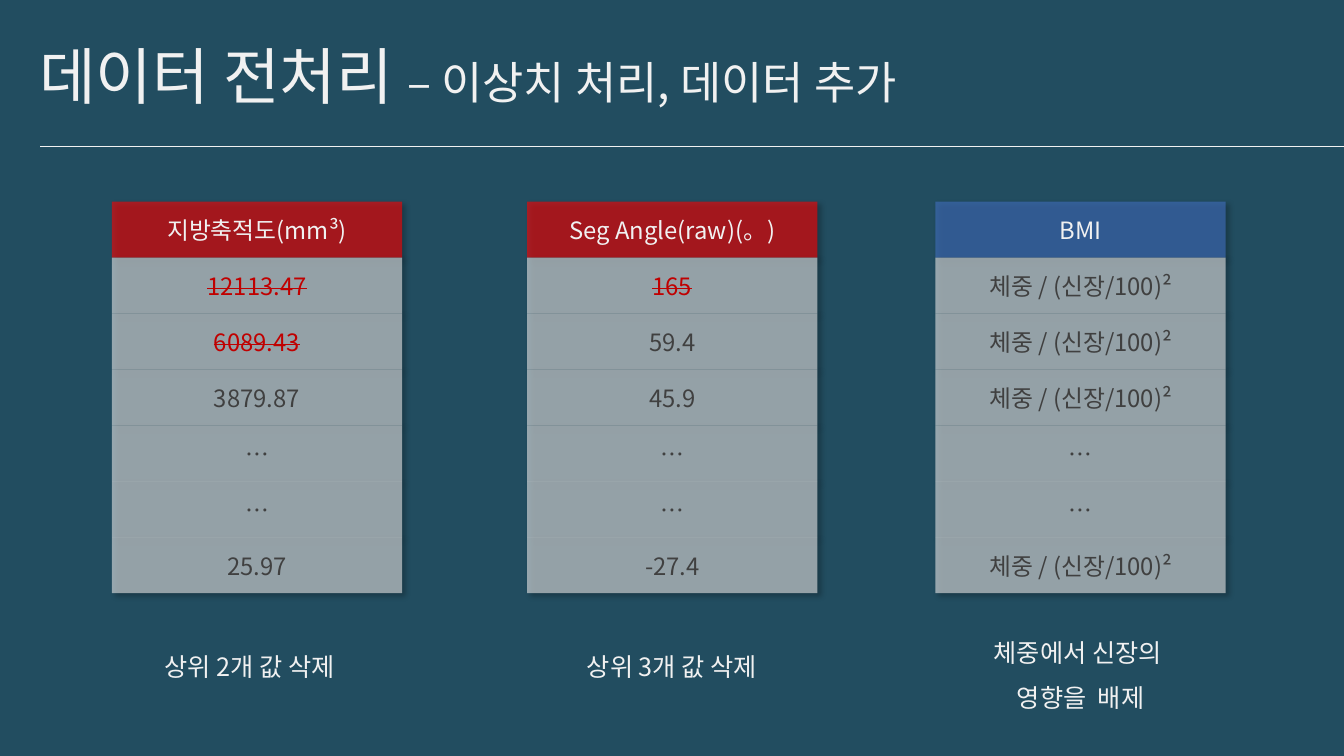
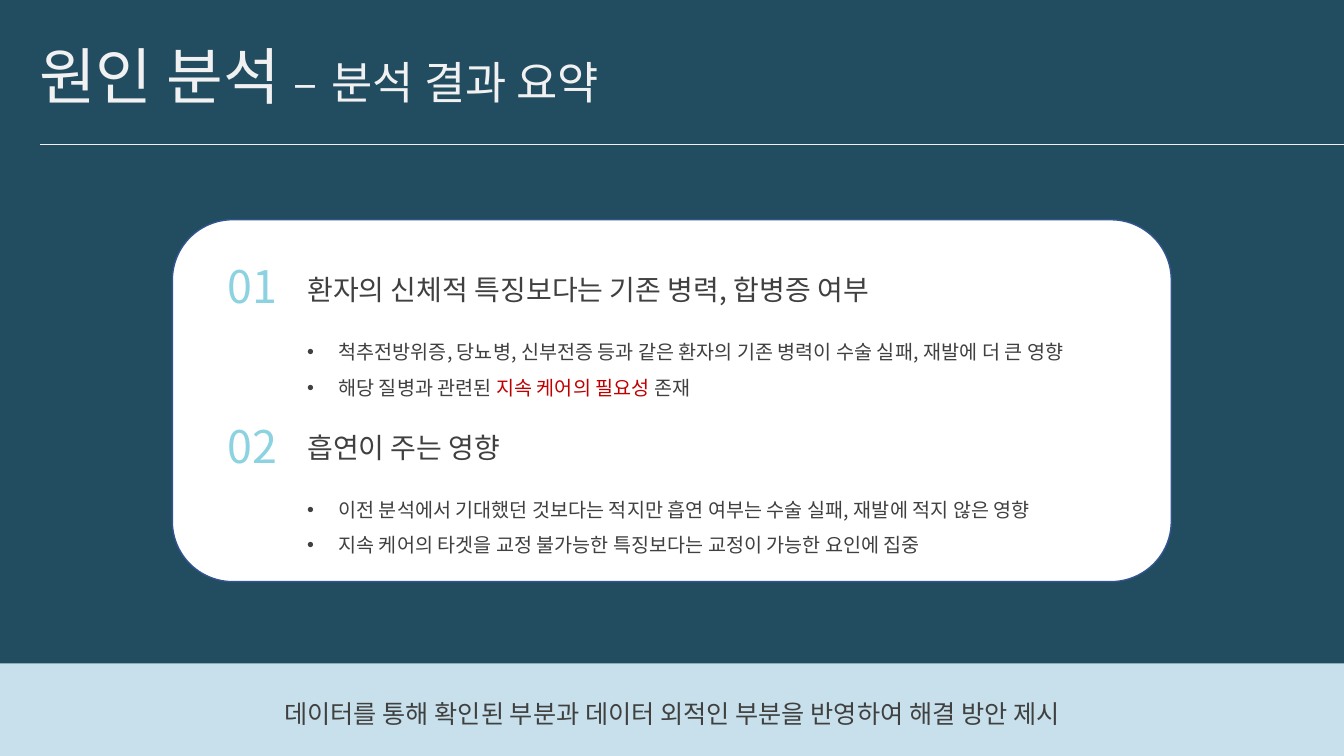
import lxml.etree
import pptx
import pptx.dml.color
import pptx.enum.shapes
import pptx.enum.text
import pptx.oxml.ns
import pptx.util

RGB = pptx.dml.color.RGBColor
SHAPE = pptx.enum.shapes.MSO_SHAPE
ALIGN = pptx.enum.text.PP_ALIGN
ANCHOR = pptx.enum.text.MSO_ANCHOR
FIT = pptx.enum.text.MSO_AUTO_SIZE
Inches = pptx.util.Inches
Pt = pptx.util.Pt
qn = pptx.oxml.ns.qn

NAVY = RGB(0x22, 0x4D, 0x60)
PALE = RGB(0xF1, 0xF1, 0xF1)
DARK = RGB(0x40, 0x40, 0x40)
RED = RGB(0xC0, 0x00, 0x00)
HOT = RGB(0xFF, 0x00, 0x00)
BLUE = RGB(0x42, 0x70, 0xC1)
EDGE = RGB(0x32, 0x54, 0x91)
GREY = RGB(0xE7, 0xE6, 0xE6)
ICE = RGB(0xC7, 0xE0, 0xEB)
AQUA = RGB(0x8C, 0xD2, 0xE0)
WHITE = RGB(0xFF, 0xFF, 0xFF)

FONT = "Noto Sans CJK KR"
PLAIN = "{2D5ABB26-0587-4C30-8999-92F81FD0307C}"
WIDE, HIGH = Inches(13.33), Inches(7.5)
COLS, ROWS = 40, 30
CENTER = {"alignment": ALIGN.CENTER}
GROW = {"auto_size": FIT.SHAPE_TO_FIT_TEXT}
FLOAT = {**GROW, "word_wrap": False, "vertical_anchor": ANCHOR.MIDDLE}
LOOSE = {"line_spacing": 1.5}


def apply(target, style):
    for key, value in style.items():
        setattr(target, key, value)


def add(parent, tag, **attrs):
    return lxml.etree.SubElement(parent, qn(tag), **attrs)


class Deck:
    """Holds the shared style and the current slide; lengths are grid columns and rows."""

    def __init__(self):
        self.show = pptx.Presentation()
        apply(self.show, {"slide_width": WIDE, "slide_height": HIGH})

    def box(self, x, y, w, h):
        return (round(WIDE * x / COLS), round(HIGH * y / ROWS),
                round(WIDE * w / COLS), round(HIGH * h / ROWS))

    def page(self, title, topic, rule):
        self.slide = self.show.slides.add_slide(self.show.slide_layouts[6])
        fill = self.slide.background.fill
        fill.solid()
        fill.fore_color.rgb = NAVY
        inset = {"margin_" + side: Inches(0.39)
                 for side in ("left", "top", "right", "bottom")}
        self.text((0, 0, COLS, 5.8), [[(title, 44, PALE), *topic]],
                  {**inset, "vertical_anchor": ANCHOR.BOTTOM}, {"line_spacing": 0.9})
        x, y, w, _ = self.box(1.2, rule, COLS - 1.2, 0)
        line = self.slide.shapes.add_connector(
            pptx.enum.shapes.MSO_CONNECTOR.STRAIGHT, x, y, x + w, y)
        line.line.color.rgb = PALE
        line.line.width = Pt(0.5)
        add(line._element.spPr, "a:effectLst")

    def put(self, frame, lines, para={}, bullet=None):
        """Each line is a list of runs: text, size, colour and, if struck out, True."""
        for i, runs in enumerate(lines):
            p = frame.add_paragraph() if i else frame.paragraphs[0]
            apply(p, para)
            if bullet:
                props = p._p.get_or_add_pPr()
                props.set("marL", str(Inches(0.31)))
                props.set("indent", str(-Inches(0.31)))
                add(props, "a:buFont", typeface="Arial")
                add(props, "a:buChar", char=bullet)
            for words, size, color, *struck in runs:
                run = p.add_run()
                run.text = words
                apply(run.font, {"size": Pt(size), "name": FONT})
                run.font.color.rgb = color
                props = run._r.get_or_add_rPr()
                add(props, "a:ea", typeface=FONT)
                if any(struck):
                    props.set("strike", "sngStrike")

    def text(self, area, lines, style={}, para={}, bullet=None):
        frame = self.slide.shapes.add_textbox(*self.box(*area)).text_frame
        apply(frame, {"word_wrap": True, **style})
        self.put(frame, lines, para, bullet)

    def shape(self, kind, area, fill, edge=None):
        shape = self.slide.shapes.add_shape(kind, *self.box(*area))
        shape.shadow.inherit = False
        shape.fill.solid()
        shape.fill.fore_color.rgb = fill
        if edge:
            shape.line.color.rgb = edge
            shape.line.width = Pt(1)
        else:
            shape.line.fill.background()
        return shape

    def table(self, x, head, tint, cells):
        """Draw a one-column table; a cell starting with ~ is struck out."""
        step = 2.22
        area = self.box(x, 8, 8.64, step * (len(cells) + 1))
        table = self.slide.shapes.add_table(len(cells) + 1, 1, *area).table
        props = table._tbl.tblPr
        props.find(qn("a:tableStyleId")).text = PLAIN
        glow = lxml.etree.Element(qn("a:effectLst"))
        props.insert(0, glow)
        shade = add(glow, "a:outerShdw", blurRad="50800", dist="38100",
                    dir="2700000", algn="tl", rotWithShape="0")
        add(add(shade, "a:prstClr", val="black"), "a:alpha", val="40000")
        for i, words in enumerate([head, *cells]):
            table.rows[i].height = self.box(0, 0, 0, step)[3]
            cell = table.cell(i, 0)
            apply(cell, {"vertical_anchor": ANCHOR.MIDDLE,
                         "margin_left": Inches(0.14), "margin_right": Inches(0.14),
                         "margin_top": Inches(0.07), "margin_bottom": Inches(0.07)})
            cell.fill.solid()
            cell.fill.fore_color.rgb = GREY if i else tint
            solid = cell._tc.tcPr.find(qn("a:solidFill"))
            add(solid[0], "a:alpha", val="60000")
            struck = words.startswith("~")
            color = RED if struck else DARK if i else PALE
            self.put(cell.text_frame, [[(words.lstrip("~"), 17, color, struck)]], CENTER)

    def point(self, tops, mark, head, wide, lines):
        """Draw a numbered heading with bullets below it."""
        top, mid, low = tops
        self.text((6.48, top, 2.76, 2.56), [[(mark, 32, AQUA)]], GROW)
        self.text((8.85, mid, 23.94, 1.76), [[(head, 20, DARK)]], GROW)
        self.text((8.85, low, wide, 3), lines, GROW, LOOSE, "•")


def clean(deck):
    deck.page("데이터 전처리 ", [("– 이상치 처리, 데이터 추가", 32, PALE)], 5.8)
    ratio = "체중 / (신장/100)²"
    gap = ["…", "…"]
    deck.table(3.33, "지방축적도(mm³)", HOT,
               ["~12113.47", "~6089.43", "3879.87", *gap, "25.97"])
    deck.table(15.69, "Seg Angle(raw)(。)", HOT,
               ["~165", "59.4", "45.9", *gap, "-27.4"])
    deck.table(27.84, "BMI", BLUE, [ratio] * 3 + gap + [ratio])
    for x, count in ((4.23, 2), (16.8, 3)):
        deck.text((x, 25.64, 6.39, 1.6), [[(f"상위 {count}개 값 삭제", 18, PALE)]],
                  FLOAT, CENTER)
    deck.text((28.95, 24.6, 6.42, 3.76),
              [[("체중에서 신장의 ", 18, PALE)], [("영향을  배제", 18, PALE)]],
              FLOAT, {**CENTER, **LOOSE})


def result(deck):
    deck.page("원인 분석 ", [("–", 32, PALE), (" ", 44, PALE),
                         ("분석 결과 요약", 32, PALE)], 5.72)
    band = deck.shape(SHAPE.RECTANGLE, (0, 26.32, COLS, 3.68), ICE)
    apply(band.text_frame, {"word_wrap": True, "vertical_anchor": ANCHOR.MIDDLE,
                            "margin_top": Inches(0.2), "margin_bottom": Inches(0.28)})
    deck.put(band.text_frame,
             [[("데이터를 통해 확인된 부분과 데이터 외적인 부분을 반영하여 해결 방안 제시",
                18, DARK)]], {**CENTER, **LOOSE})
    deck.shape(SHAPE.ROUNDED_RECTANGLE, (5.13, 8.72, 29.73, 14.36), WHITE, EDGE)
    deck.point((10.08, 10.6, 12.84), "01",
               "환자의 신체적 특징보다는 기존 병력, 합병증 여부", 30.75,
               [[("척추전방위증, 당뇨병, 신부전증 등과 같은 환자의 기존 병력이 "
                  "수술 실패, 재발에 더 큰 영향", 14, DARK)],
                [("해당 질병과 관련된 ", 14, DARK), ("지속 케어의 필요성", 14, RED),
                 (" 존재", 14, DARK)]])
    deck.point((16.44, 16.88, 19.08), "02", "흡연이 주는 영향", 24.84,
               [[("이전 분석에서 기대했던 것보다는 적지만 흡연 여부는 "
                  "수술 실패, 재발에 적지 않은 영향", 14, DARK)],
                [("지속 케어의 타겟을 교정 불가능한 특징보다는 "
                  "교정이 가능한 요인에 집중", 14, DARK)]])


def main():
    deck = Deck()
    clean(deck)
    result(deck)
    deck.show.save("out.pptx")


if __name__ == "__main__":
    main()
